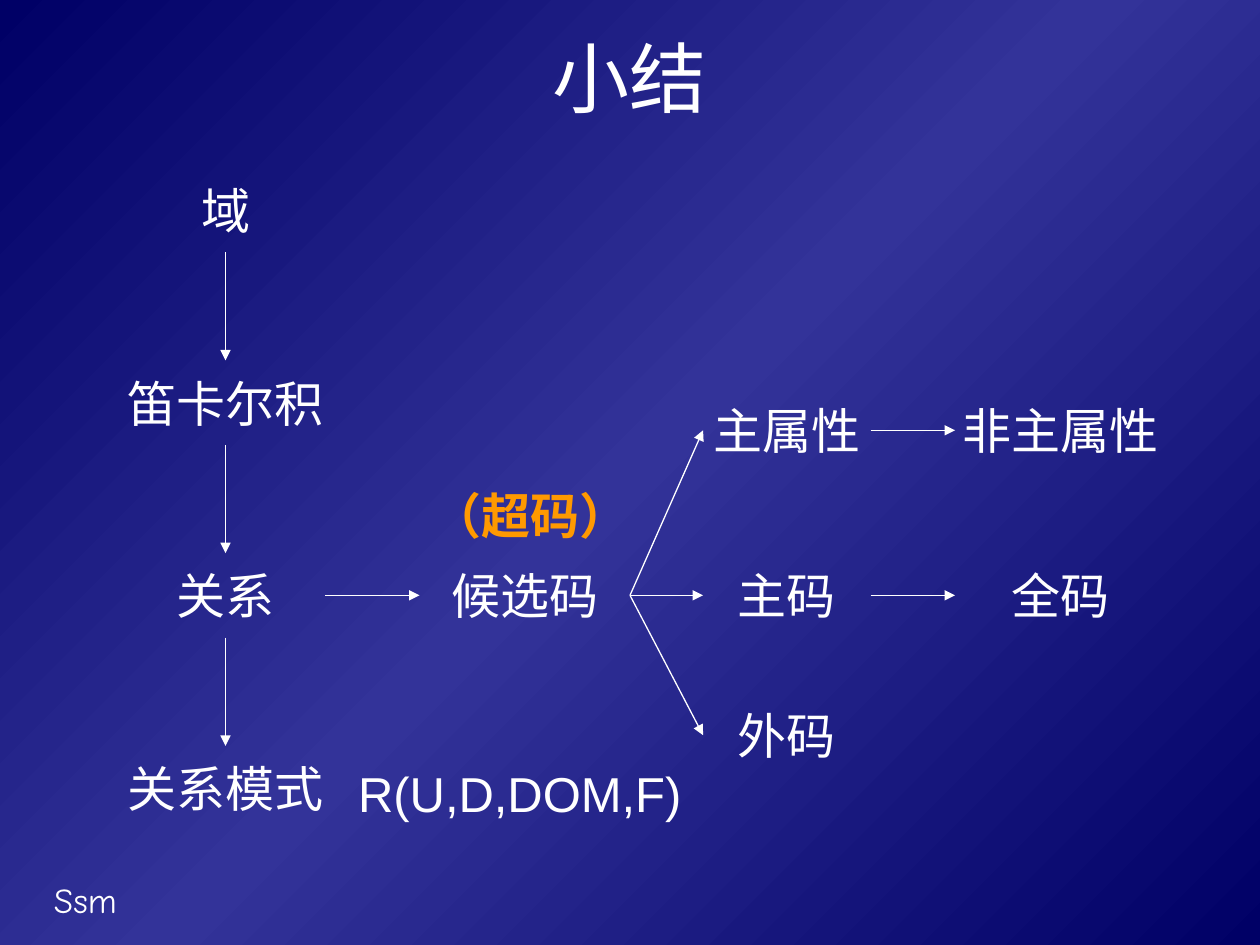
from copy import deepcopy

from pptx import Presentation
from pptx.dml.color import RGBColor
from pptx.enum.shapes import MSO_CONNECTOR as Connector
from pptx.enum.text import MSO_ANCHOR as Anchor, MSO_AUTO_SIZE as AutoSize, PP_ALIGN as Align
from pptx.oxml.ns import qn
from pptx.util import Inches, Pt
from lxml.etree import SubElement

TOP, LEFT, BOTTOM, RIGHT = range(4)


def color(value):
    return RGBColor.from_string(value)


class SummarySlide:
    white = "FFFFFF"
    orange = "FF9900"
    background_stops = [(0, "000066"), (0.5, "333399"), (1, "000066")]
    east_asian_font = "Noto Sans CJK SC"
    node_height = 0.67

    def __init__(self, presentation):
        self.slide = presentation.slides.add_slide(presentation.slide_layouts[6])

    def background(self):
        fill = self.slide.background.fill
        fill.gradient()
        fill.gradient_angle = 315
        stop_list = self.slide.element.find(".//" + qn("a:gsLst"))
        stop_list.insert(1, deepcopy(stop_list[0]))
        for stop, (position, value) in zip(fill.gradient_stops, self.background_stops):
            stop.position = position
            stop.color.rgb = color(value)

    def text(self, text, left, top, width, height, size=28, font="Arial", fill=white,
             bold=False, align=Align.CENTER, anchor=Anchor.MIDDLE, wrap=False):
        shape = self.slide.shapes.add_textbox(
            Inches(left), Inches(top), Inches(width), Inches(height))
        frame = shape.text_frame
        frame.auto_size = AutoSize.NONE
        frame.word_wrap = wrap
        frame.vertical_anchor = anchor
        paragraph = frame.paragraphs[0]
        paragraph.alignment = align
        run = paragraph.add_run()
        run.text = text
        run.font.name = font
        run.font.size = Pt(size)
        run.font.bold = bold
        run.font.color.rgb = color(fill)
        SubElement(run.font._element, qn("a:ea"), typeface=self.east_asian_font)
        return shape

    def node(self, text, left, top, width, **style):
        return self.text(text, left, top, width, self.node_height, **style)

    def arrow(self, source, target, start=RIGHT, end=LEFT):
        connector = self.slide.shapes.add_connector(Connector.STRAIGHT, 0, 0, 0, 0)
        connector.begin_connect(source, start)
        connector.end_connect(target, end)
        connector.line.color.rgb = color(self.white)
        connector.line.width = Pt(0.75)
        SubElement(connector.line._get_or_add_ln(), qn("a:tailEnd"), type="triangle")
        SubElement(connector._element.spPr, qn("a:effectLst"))


def main():
    presentation = Presentation()
    presentation.slide_width = Inches(10)
    presentation.slide_height = Inches(7.5)
    summary = SummarySlide(presentation)
    summary.background()
    summary.text("小结", 0.5, 0.17, 9, 0.87, size=44, font="Noto Sans CJK SC", wrap=True)
    summary.text("Ssm", 0.33, 6.92, 2.08, 0.44, size=20, font="Comic Neue",
                 align=Align.LEFT, anchor=Anchor.TOP, wrap=True)

    column_center, first_top, step = 1.79, 1.33, 1.53
    column = [("域", 2.17), ("笛卡尔积", 2.17), ("关系", 1.58), ("关系模式", 2.17)]
    chain = [summary.node(text, column_center - width / 2, first_top + row * step, width)
             for row, (text, width) in enumerate(column)]
    for upper, lower in zip(chain, chain[1:]):
        summary.arrow(upper, lower, BOTTOM, TOP)
    summary.node("R(U,D,DOM,F)", 2.75, 5.96, 2.75)

    attribute_top, key_top, foreign_top = 3.08, first_top + 2 * step, 5.5
    summary.node("（超码）", 3.17, 3.75, 2.08, fill=summary.orange, bold=True)
    candidate_key = summary.node("候选码", 3.33, key_top, 1.67)
    summary.arrow(chain[2], candidate_key)

    branches = [("主属性", "非主属性", attribute_top), ("主码", "全码", key_top),
                ("外码", None, foreign_top)]
    for text, following, top in branches:
        branch = summary.node(text, 5.58, top, 1.33)
        summary.arrow(candidate_key, branch)
        if following:
            summary.arrow(branch, summary.node(following, 7.58, top, 1.67))

    presentation.save("out.pptx")


if __name__ == "__main__":
    main()
